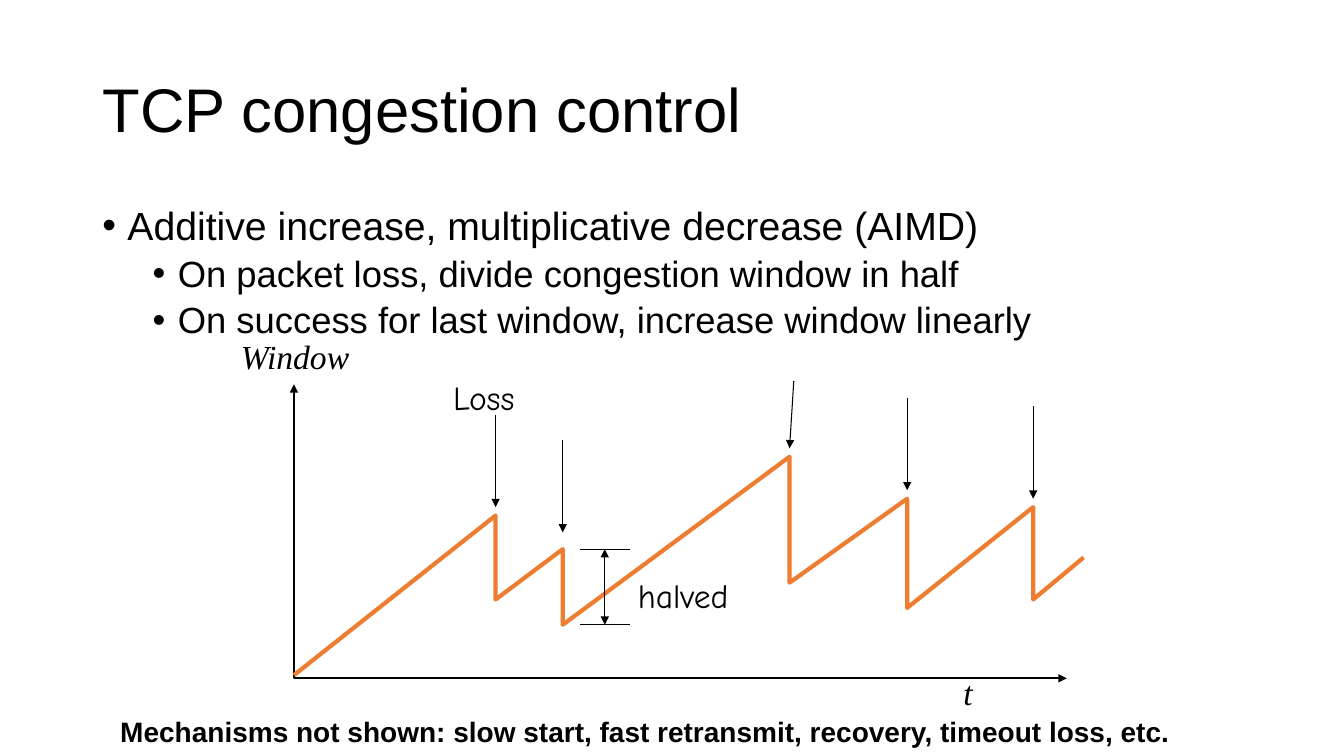
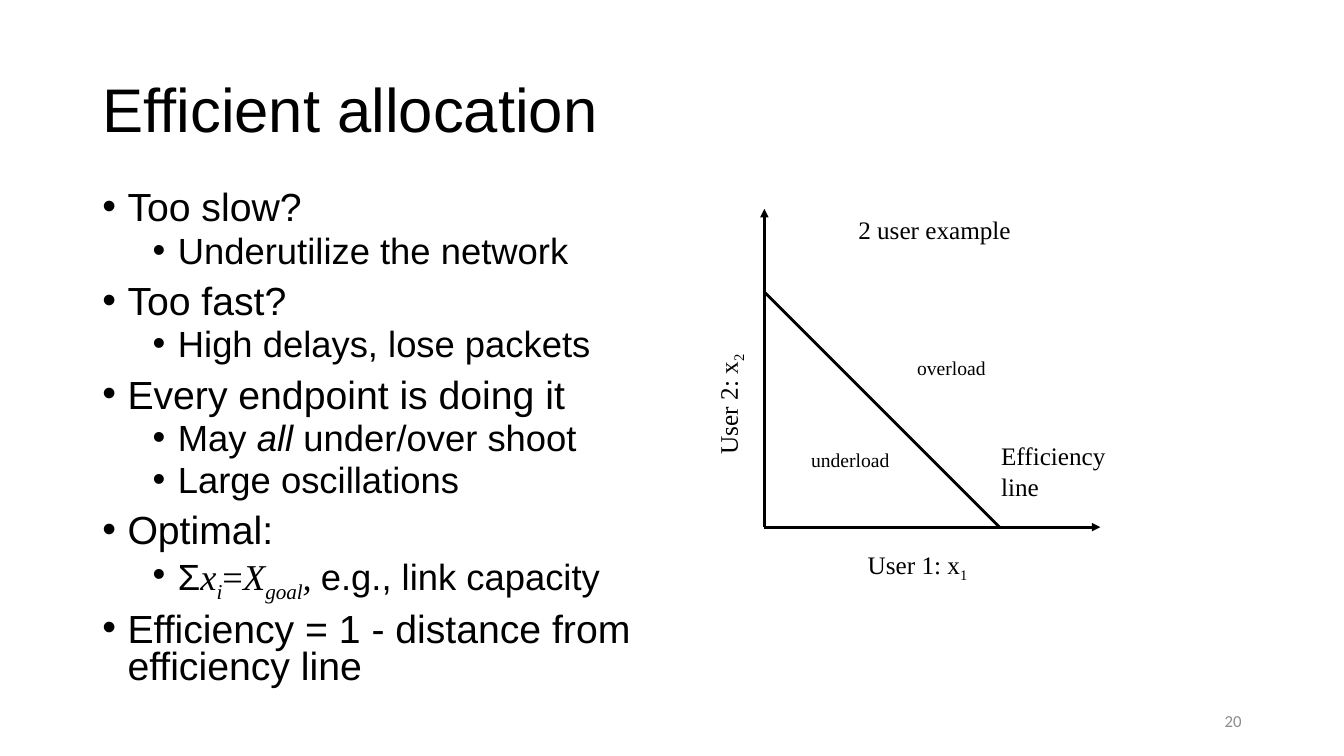
from pptx import Presentation
from pptx.dml.color import RGBColor
from pptx.enum.shapes import MSO_CONNECTOR
from pptx.enum.text import MSO_ANCHOR, MSO_AUTO_SIZE, PP_ALIGN
from pptx.oxml.ns import qn
from pptx.util import Pt
from lxml.etree import SubElement

EMU_PER_PX = 9525
SANS, SERIF, HAND, FOOTER_FONT = "Arial", "Times New Roman", "Comic Neue", "Calibri"
BLACK, ORANGE, GRAY = "000000", "ED7D31", "8C8C8C"
TITLE_ONLY = 5

# Bullet levels: text size, left margin in px, space before in points
BULLET_LEVELS = [(28, 24, 10), (26, 72, 5)]
HANGING = 24

# Run styles
ITALIC = {"italic": True}
SUBSCRIPT = {"subscript": True}
MATH = {"font": SERIF}
VARIABLE = {"font": SERIF, "italic": True}
INDEX = {"font": SERIF, "italic": True, "subscript": True}


def px(length):
    return round(length * EMU_PER_PX)


def color(hex_string):
    return RGBColor.from_string(hex_string)


# Text

def add_run(paragraph, text, size, font=SANS, fill=BLACK, bold=False,
            italic=False, subscript=False):
    run = paragraph.add_run()
    run.text = text
    run.font.size = Pt(size)
    run.font.name = font
    run.font.color.rgb = color(fill)
    run.font.bold = bold
    run.font.italic = italic
    if subscript:
        run._r.get_or_add_rPr().set("baseline", "-25000")


def add_runs(paragraph, runs, size, **style):
    """Runs are plain strings or (string, style) pairs."""
    for run in [runs] if isinstance(runs, str) else runs:
        text, extra = (run, {}) if isinstance(run, str) else run
        add_run(paragraph, text, size, **{**style, **extra})


def next_paragraph(frame, index):
    return frame.add_paragraph() if index else frame.paragraphs[0]


def add_title_slide(presentation, title):
    slide = presentation.slides.add_slide(presentation.slide_layouts[TITLE_ONLY])
    shape = slide.shapes.title
    shape.left, shape.top, shape.width, shape.height = map(px, (88, 38, 1104, 139))
    frame = shape.text_frame
    frame.auto_size = MSO_AUTO_SIZE.NONE
    frame.vertical_anchor = MSO_ANCHOR.MIDDLE
    paragraph = frame.paragraphs[0]
    paragraph.alignment = PP_ALIGN.LEFT
    paragraph.line_spacing = 0.9
    add_run(paragraph, title, 44)
    return slide


def add_bullets(slide, box, items, line_spacing):
    """Items are (level, runs) pairs."""
    frame = slide.shapes.add_textbox(*map(px, box)).text_frame
    frame.word_wrap = True
    for index, (level, runs) in enumerate(items):
        size, margin, space_before = BULLET_LEVELS[level]
        paragraph = next_paragraph(frame, index)
        properties = paragraph._p.get_or_add_pPr()
        properties.set("marL", str(px(margin)))
        properties.set("indent", str(-px(HANGING)))
        SubElement(properties, qn("a:buFont"), typeface=SANS)
        SubElement(properties, qn("a:buChar"), char="•")
        paragraph.level = level
        paragraph.line_spacing = line_spacing
        paragraph.space_before = Pt(space_before if index else 0)
        add_runs(paragraph, runs, size)


def add_label(slide, box, lines, size, rotation=0, **style):
    shape = slide.shapes.add_textbox(*map(px, box))
    shape.rotation = rotation
    frame = shape.text_frame
    frame.word_wrap = False
    frame.auto_size = MSO_AUTO_SIZE.SHAPE_TO_FIT_TEXT
    for index, runs in enumerate(lines):
        add_runs(next_paragraph(frame, index), runs, size, **style)


def add_slide_number(slide, number):
    frame = slide.shapes.add_textbox(*map(px, (904, 667, 288, 38))).text_frame
    frame.word_wrap = True
    frame.vertical_anchor = MSO_ANCHOR.MIDDLE
    paragraph = frame.paragraphs[0]
    paragraph.alignment = PP_ALIGN.RIGHT
    add_run(paragraph, number, 12, font=FOOTER_FONT, fill=GRAY)


# Lines

def format_line(shape, width, stroke=BLACK, arrows=()):
    """Arrows names the ends that carry a triangle: headEnd, then tailEnd."""
    shape.line.color.rgb = color(stroke)
    shape.line.width = Pt(width)
    properties = shape._element.spPr
    for end in arrows:
        SubElement(properties.find(qn("a:ln")), qn(f"a:{end}"), type="triangle")
    SubElement(properties, qn("a:effectLst"))


def add_line(slide, start, end, width, arrows=()):
    connector = slide.shapes.add_connector(
        MSO_CONNECTOR.STRAIGHT, *map(px, (*start, *end)))
    format_line(connector, width, arrows=arrows)


def add_polyline(slide, points, width, stroke=BLACK, arrows=()):
    builder = slide.shapes.build_freeform(*points[0], scale=EMU_PER_PX)
    builder.add_line_segments(points[1:], close=False)
    shape = builder.convert_to_shape()
    shape.fill.background()
    format_line(shape, width, stroke, arrows)


# Slides

def build_congestion_control(presentation):
    slide = add_title_slide(presentation, "TCP congestion control")
    add_bullets(slide, (88, 192, 1104, 457), [
        (0, "Additive increase, multiplicative decrease (AIMD)"),
        (1, "On packet loss, divide congestion window in half"),
        (1, "On success for last window, increase window linearly"),
    ], line_spacing=0.9)

    # Axes and window size over time
    both_ends = ("headEnd", "tailEnd")
    add_polyline(slide, [(280, 366), (280, 646), (1016, 646)], 1.5, arrows=both_ends)
    # Each loss: x, window before, window after
    losses = [(472, 491, 571), (536, 523, 595), (752, 435, 555),
              (864, 475, 579), (984, 483, 571)]
    drops = [(x, y) for x, before, after in losses for y in (before, after)]
    add_polyline(slide, [(280, 643), *drops, (1032, 531)], 3, ORANGE)

    # Measure of the halved window
    _, before, after = losses[1]
    for y in (after, before):
        add_line(slide, (552, y), (600, y), 0.75)
    add_line(slide, (576, before), (576, after), 0.75, both_ends)

    # Loss arrows
    for start, tip in [((472, 395), (472, 483)), ((536, 419), (536, 507)),
                       ((756, 363), (752, 427)), ((864, 379), (864, 467)),
                       ((984, 387), (984, 475))]:
        add_line(slide, start, tip, 0.75, ["tailEnd"])

    # Labels
    for box, text, style in [((908, 635, 28, 48), "t", VARIABLE),
                             ((220, 315, 124, 48), "Window", VARIABLE),
                             ((598, 543, 115, 48), "halved", {"font": HAND}),
                             ((422, 354, 84, 48), "Loss", {"font": HAND})]:
        add_label(slide, box, [text], 24, **style)
    add_label(slide, (105, 676, 1033, 42),
              ["Mechanisms not shown: slow start, fast retransmit, recovery, "
               "timeout loss, etc."], 20, bold=True)


def build_efficient_allocation(presentation):
    slide = add_title_slide(presentation, "Efficient allocation")
    add_slide_number(slide, "20")
    add_bullets(slide, (88, 178, 583, 528), [
        (0, "Too slow?"),
        (1, "Underutilize the network"),
        (0, "Too fast?"),
        (1, "High delays, lose packets"),
        (0, "Every endpoint is doing it"),
        (1, ["May ", ("all", ITALIC), " under/over shoot"]),
        (1, "Large oscillations"),
        (0, "Optimal:"),
        (1, ["Σ", ("x", VARIABLE), ("i", INDEX), ("=", MATH), ("X", VARIABLE),
             ("goal", INDEX), (", ", VARIABLE), "e.g., link capacity"]),
        (0, "Efficiency = 1 - distance from efficiency line"),
    ], line_spacing=0.8)

    # Axes and efficiency line
    origin = (728, 502)
    for end in [(728, 199), (1048, 502)]:
        add_line(slide, origin, end, 2, ["tailEnd"])
    add_line(slide, (728, 278), (952, 502), 2)

    # Labels
    for box, lines, size, rotation in [
        ((817, 518, 116, 38), [["User 1: x", ("1", SUBSCRIPT)]], 18, 0),
        ((635, 365, 116, 38), [["User 2: x", ("2", SUBSCRIPT)]], 18, 270),
        ((944, 415, 120, 67), ["Efficiency", "line"], 18, 0),
        ((808, 199, 166, 38), ["2 user example"], 18, 0),
        ((864, 334, 85, 32), ["overload"], 14, 0),
        ((763, 422, 95, 32), ["underload"], 14, 0),
    ]:
        add_label(slide, box, lines, size, rotation, font=SERIF)


def main():
    presentation = Presentation()
    presentation.slide_width, presentation.slide_height = px(1280), px(720)
    build_congestion_control(presentation)
    build_efficient_allocation(presentation)
    presentation.save("out.pptx")


if __name__ == "__main__":
    main()
